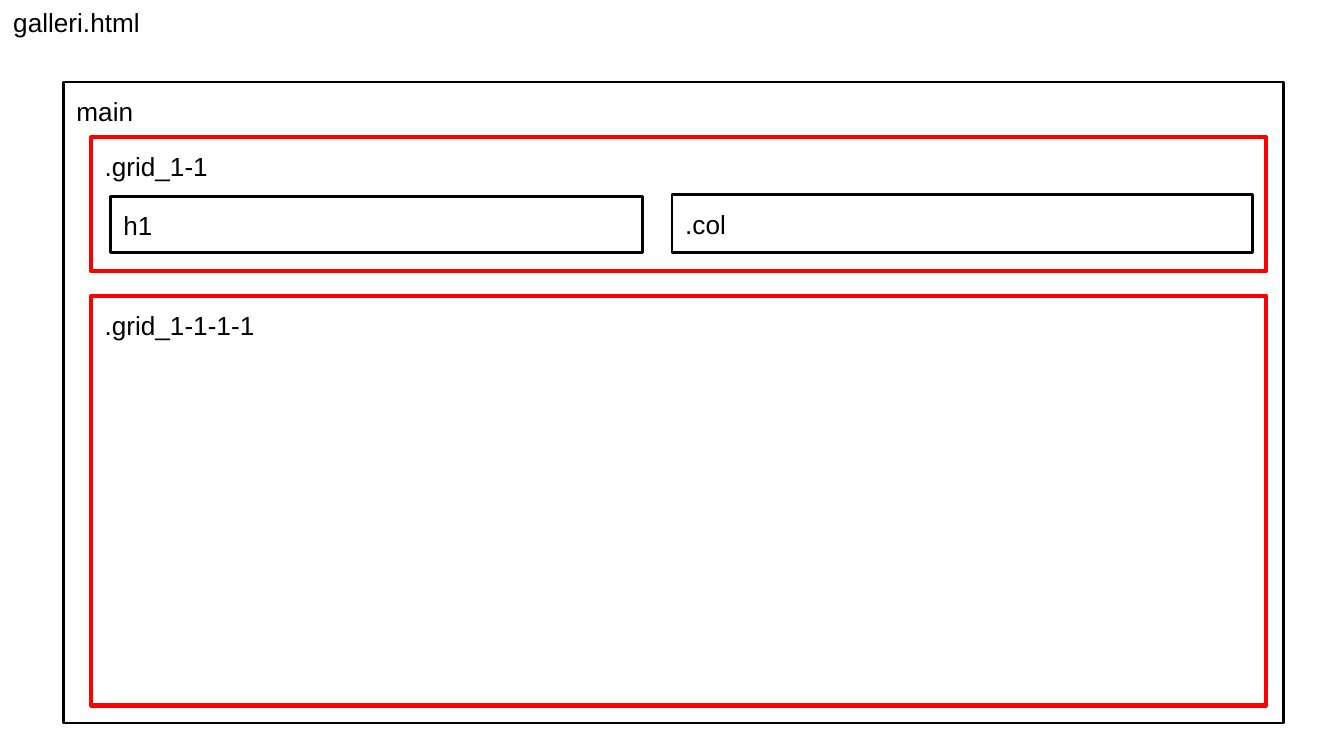
"""Build the layout sketch of the galleri.html page."""
from pptx import Presentation
from pptx.dml.color import RGBColor
from pptx.enum.shapes import MSO_SHAPE
from pptx.enum.text import MSO_ANCHOR, PP_ALIGN
from pptx.util import Inches, Pt

THEME = {
    "font": "Arial", "size": 14, "text": "000000",
    "box": ("000000", 1.5), "grid": ("FF0000", 2.25),
}
PAGE_WIDTH = 10
PAGE = (PAGE_WIDTH, PAGE_WIDTH * 9 / 16)
GRID_LEFT, GRID_WIDTH = 0.68, 8.74
PARTS = [
    ("main", "box", (0.47, 0.61, 9.08, 4.77)),
    (".grid_1-1-1-1", "grid", (GRID_LEFT, 2.2, GRID_WIDTH, 3.05)),
    ("galleri.html", "heading", (0, 0, 2.02, 0.34)),
    ("h1", "box", (0.82, 1.46, 3.96, 0.42)),
    (".grid_1-1", "grid", (GRID_LEFT, 1.02, GRID_WIDTH, 1)),
    (".col", "box", (5, 1.45, 4.32, 0.43)),
]


def write(frame, text, *, inset_x=0.1, inset_y=0.1):
    frame.word_wrap = True
    frame.vertical_anchor = MSO_ANCHOR.TOP
    frame.margin_left = frame.margin_right = Inches(inset_x)
    frame.margin_top = frame.margin_bottom = Inches(inset_y)
    paragraph = frame.paragraphs[0]
    paragraph.alignment = PP_ALIGN.LEFT
    run = paragraph.add_run()
    run.text = text
    run.font.name = THEME["font"]
    run.font.size = Pt(THEME["size"])
    run.font.color.rgb = RGBColor.from_string(THEME["text"])


def add_heading(slide, label, bounds):
    heading = slide.shapes.add_textbox(*map(Inches, bounds))
    write(heading.text_frame, label, inset_y=0.05)


def add_region(slide, label, role, bounds):
    region = slide.shapes.add_shape(MSO_SHAPE.RECTANGLE, *map(Inches, bounds))
    color, weight = THEME[role]
    region.shadow.inherit = False
    region.fill.background()
    region.line.color.rgb = RGBColor.from_string(color)
    region.line.width = Pt(weight)
    write(region.text_frame, label)


deck = Presentation()
deck.slide_width, deck.slide_height = map(Inches, PAGE)
slide = deck.slides.add_slide(deck.slide_layouts[6])
for label, role, bounds in PARTS:
    if role == "heading":
        add_heading(slide, label, bounds)
    else:
        add_region(slide, label, role, bounds)
deck.save("out.pptx")
